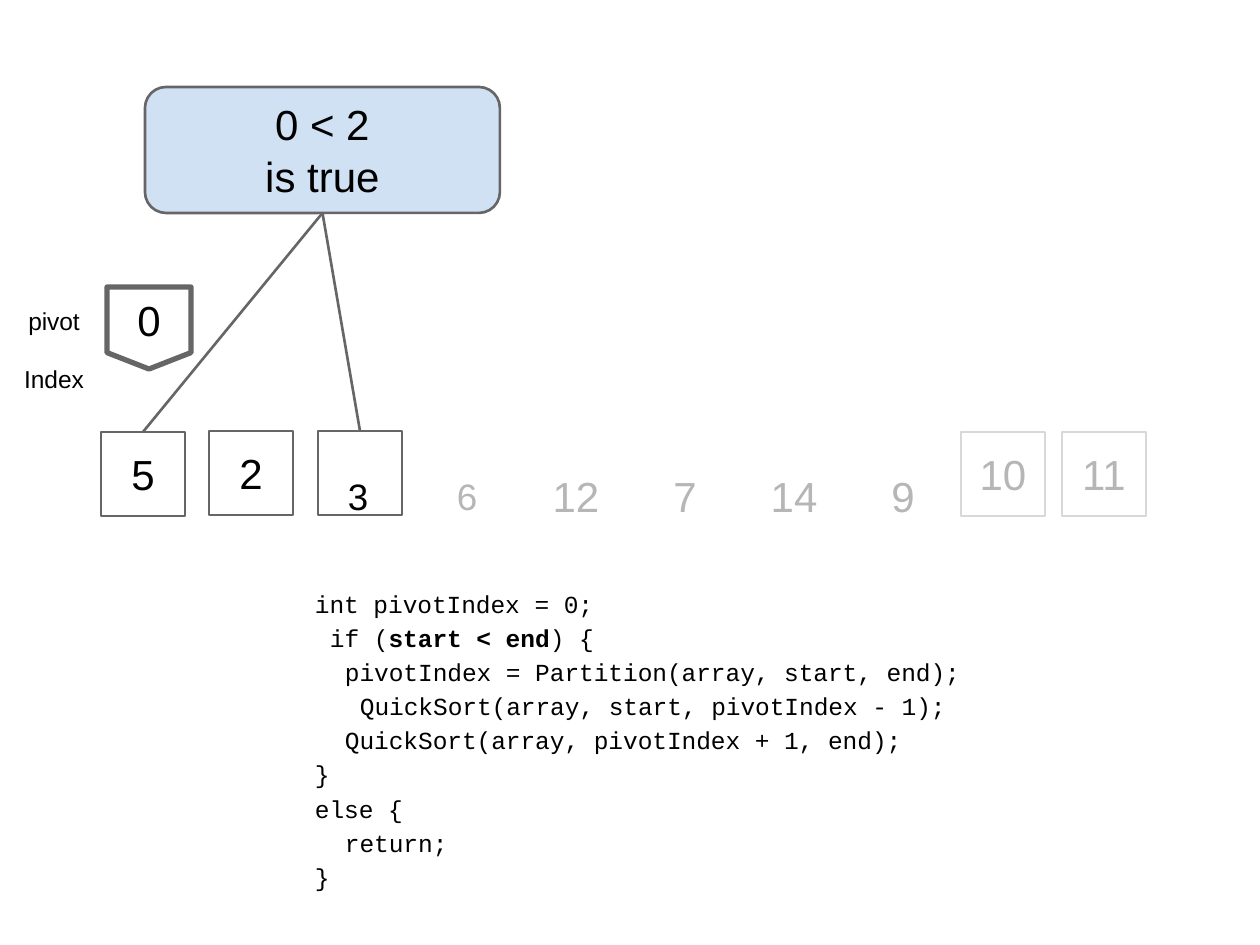
from lxml.etree import SubElement
from pptx import Presentation
from pptx.dml.color import RGBColor
from pptx.enum.shapes import MSO_CONNECTOR, MSO_SHAPE
from pptx.enum.text import MSO_ANCHOR, PP_ALIGN
from pptx.oxml.ns import qn
from pptx.util import Pt

EMU_PER_PX = 914400 / 126

BLACK = RGBColor(0x00, 0x00, 0x00)
DARK_GRAY = RGBColor(0x66, 0x66, 0x66)
FADED_TEXT = RGBColor(0xB6, 0xB6, 0xB6)
FADED_LINE = RGBColor(0xD8, 0xD8, 0xD8)
LIGHT_BLUE = RGBColor(0xCF, 0xE1, 0xF2)

BOX_SIZE = 84
TOP, BOTTOM = 0, 2


def px(*lengths):
    return [round(length * EMU_PER_PX) for length in lengths]


def add_text(box, lines, kind=None, fill=None, line=None, line_width=1.5,
             font="Arial", size=24, color=BLACK, align=PP_ALIGN.CENTER,
             anchor=MSO_ANCHOR.MIDDLE, line_spacing=None, space_before=0,
             letter_spacing=0, indents=None):
    """Write lines in a shape of the given kind, or in a text box if there is none.

    Parts of a line between asterisks are bold; indents are in px, one per line.
    """
    if kind is None:
        shape = slide.shapes.add_textbox(*px(*box))
    else:
        shape = slide.shapes.add_shape(kind, *px(*box))
        shape.shadow.inherit = False
        if fill is None:
            shape.fill.background()
        else:
            shape.fill.solid()
            shape.fill.fore_color.rgb = fill
        shape.line.color.rgb = line
        shape.line.width = Pt(line_width)
    frame = shape.text_frame
    frame.word_wrap = True
    frame.vertical_anchor = anchor
    frame.margin_left = frame.margin_right = 0
    frame.margin_top = frame.margin_bottom = 0
    for index, text in enumerate(lines):
        paragraph = frame.add_paragraph() if index else frame.paragraphs[0]
        paragraph.alignment = align
        paragraph.line_spacing = line_spacing
        paragraph.space_before = Pt(space_before if index else 0)
        if indents:
            paragraph._p.get_or_add_pPr().set("marL", str(px(indents[index])[0]))
        for part_index, part in enumerate(text.split("*")):
            run = paragraph.add_run()
            run.text = part
            run.font.name = font
            run.font.size = Pt(size)
            run.font.bold = part_index % 2 == 1
            run.font.color.rgb = color
            run.font._element.set("spc", str(letter_spacing))
    return shape


presentation = Presentation()
presentation.slide_width, presentation.slide_height = px(1260, 945)
slide = presentation.slides.add_slide(presentation.slide_layouts[6])

# Array values in boxes; the third box holds a value that sits low
boxes = []
for left, top, value, line, color in [
    (101, 432, "5", DARK_GRAY, BLACK),
    (209, 431, "2", DARK_GRAY, BLACK),
    (318, 431, "", DARK_GRAY, BLACK),
    (961, 432, "10", FADED_LINE, FADED_TEXT),
    (1062, 432, "11", FADED_LINE, FADED_TEXT),
]:
    boxes.append(add_text((left, top, BOX_SIZE, BOX_SIZE), [value] if value else [],
                          kind=MSO_SHAPE.RECTANGLE, line=line, color=color))

# Array values on the lower row, evenly spaced
for index, value in enumerate(["3", "6", "12", "7", "14", "9"]):
    add_text((318 + 109 * index, 466, 80, 60), [value],
             size=21 if index < 2 else 24,
             color=FADED_TEXT if index else BLACK)

# Pivot index marker and its label
add_text((107, 287, BOX_SIZE, 82), ["0"],
         kind=MSO_SHAPE.FLOWCHART_OFFPAGE_CONNECTOR, line=DARK_GRAY, line_width=3)
for top, word in [(306, "pivot"), (364, "Index")]:
    add_text((14, top, 80, 30), [word], size=14, letter_spacing=-5)

# Condition, joined to the first and last box of the range
condition = add_text((145, 87, 355, 126), ["0 < 2", "is true"],
                     kind=MSO_SHAPE.ROUNDED_RECTANGLE, fill=LIGHT_BLUE,
                     line=DARK_GRAY, space_before=1)
for box in (boxes[0], boxes[2]):
    connector = slide.shapes.add_connector(MSO_CONNECTOR.STRAIGHT, 0, 0, 0, 0)
    connector.begin_connect(condition, BOTTOM)
    connector.end_connect(box, TOP)
    connector.line.color.rgb = DARK_GRAY
    connector.line.width = Pt(1.5)
    SubElement(connector._element.spPr, qn("a:effectLst"))

# Code, with its indents counted in characters
CHARACTER_WIDTH = 15
code = [
    (0, "int pivotIndex = 0;"),
    (1, "if (*start < end*) {"),
    (2, "pivotIndex = Partition(array, start, end);"),
    (3, "QuickSort(array, start, pivotIndex - 1);"),
    (2, "QuickSort(array, pivotIndex + 1, end);"),
    (0, "}"),
    (0, "else {"),
    (2, "return;"),
    (0, "}"),
]
add_text((315, 584, 680, 308), [text for _, text in code],
         font="Courier New", size=14, align=PP_ALIGN.LEFT, anchor=MSO_ANCHOR.TOP,
         line_spacing=Pt(19.5), letter_spacing=-5,
         indents=[CHARACTER_WIDTH * depth for depth, _ in code])

presentation.save("out.pptx")
